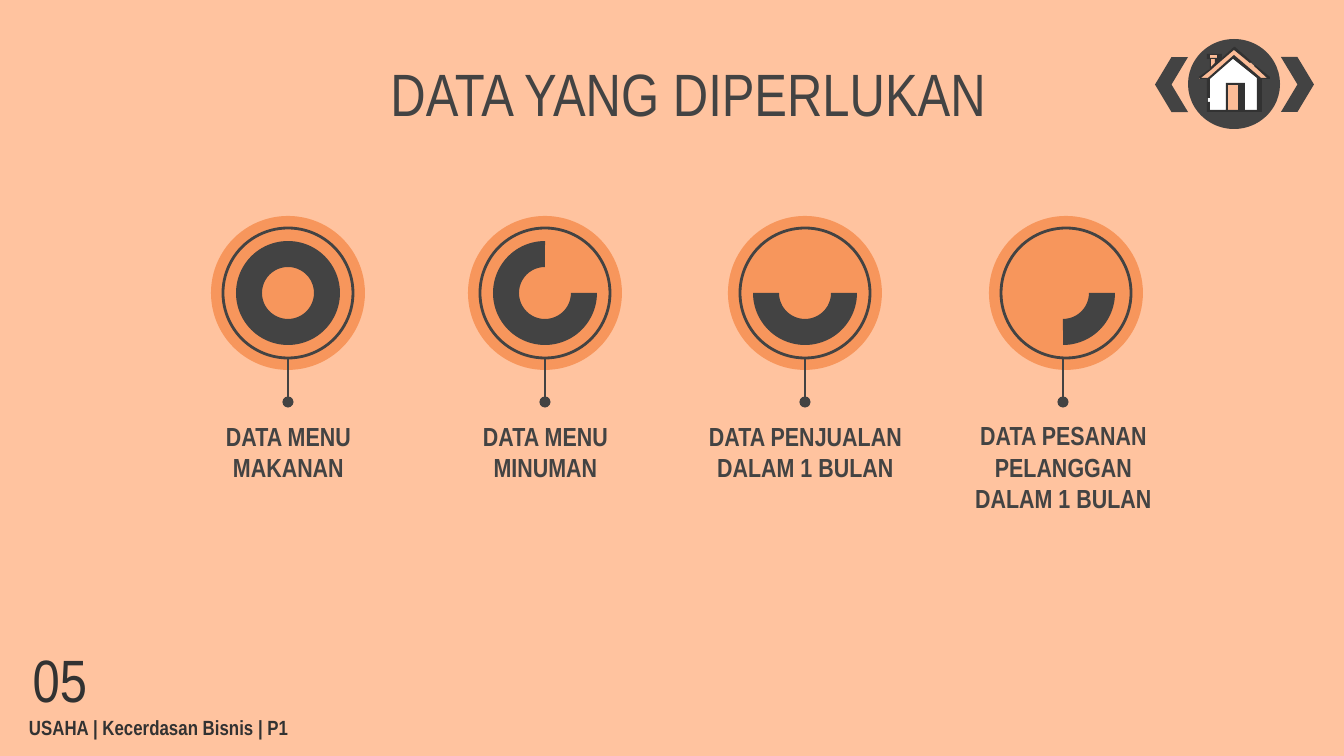
import pptx
import pptx.util
from lxml import etree
from pptx.dml.color import RGBColor
from pptx.enum.shapes import MSO_CONNECTOR, MSO_SHAPE
from pptx.enum.text import MSO_ANCHOR, PP_ALIGN
from pptx.oxml.ns import qn

PX = 914400 / 134.4
THEME = {
    "font": "Arial Narrow",
    "bg": "FFC39F", "disc": "F7965C", "dark": "434343", "ink": "323232",
    "peach": "FCBC97", "white": "FFFFFF",
    "title": 32, "label": 14, "footer": 11, "line": 1.5,
}

# Content: label, disc centre x, arc centre x, arc sweep in degrees, label box (x, y, w)
ITEMS = [
    ("DATA MENU MAKANAN", 288, 288, 360, (175, 445, 227)),
    ("DATA MENU MINUMAN", 545, 545, 270, (442, 445, 207)),
    ("DATA PENJUALAN DALAM 1 BULAN", 805, 805, 180, (702, 445, 207)),
    ("DATA PESANAN PELANGGAN DALAM 1 BULAN", 1066, 1063, 90, (960, 476, 207)),
]
CENTRE_Y, DISC, RING, ARC = 293, 154, 130, 104
STEM_END, LABEL_H = 402, 38

# text, box, size, colour, bold, alignment, anchor
TEXTS = [
    ("DATA YANG DIPERLUKAN", (60, 69, 1257, 59), "title", "dark", False,
     PP_ALIGN.CENTER, MSO_ANCHOR.BOTTOM),
    ("USAHA | Kecerdasan Bisnis | P1", (29, 715, 571, 54), "footer", "ink", True,
     PP_ALIGN.LEFT, MSO_ANCHOR.TOP),
    ("05", (0, 637, 120, 78), "title", "ink", False, PP_ALIGN.CENTER, MSO_ANCHOR.BOTTOM),
]


def box(left, top, right, bottom):
    return [(left, top), (left, bottom), (right, bottom), (right, top)]


# House icon, back to front: colour and contours
HOUSE = [
    ("peach", [[(1211, 58), (1211, 70), (1219, 62), (1219, 58)]]),  # chimney
    ("ink", [[(1215, 58), (1215, 66), (1219, 62), (1219, 58)]]),
    ("white", [[(1234, 56), (1208, 78), (1208, 111), (1260, 111), (1260, 78)]]),  # wall
    ("ink", [[(1234, 56), (1232, 58), (1257, 78), (1257, 111), (1260, 111), (1260, 78)]]),
    ("peach", [box(1208, 54, 1222, 58)]),  # chimney cap
    ("peach", [box(1227, 84, 1243, 111)]),  # door
    ("ink", [box(1238, 84, 1243, 111)]),
    ("peach", [[(1234, 48), (1199, 79), (1208, 79), (1234, 56), (1260, 79), (1269, 79)]]),  # roof
    ("ink", [box(1217, 54, 1222, 58)]),
    ("ink", [  # outline, with holes for cap, chimney and door
        box(1210, 55, 1220, 58),
        [(1218, 59), (1218, 60), (1211, 67), (1211, 59)],
        box(1228, 85, 1242, 110),
        [(1234, 47), (1222, 58), (1222, 54), (1207, 54), (1207, 59), (1210, 59),
         (1210, 69), (1199, 77), (1200, 79), (1207, 79), (1207, 98), (1210, 98),
         (1210, 79), (1234, 58), (1259, 79), (1259, 110), (1245, 110), (1245, 83),
         (1226, 83), (1226, 110), (1210, 110), (1210, 102), (1207, 102), (1207, 112),
         (1262, 112), (1262, 79), (1270, 79), (1270, 77), (1255, 65), (1254, 66),
         (1267, 78), (1261, 78), (1234, 55), (1208, 78), (1201, 78), (1211, 70),
         (1220, 62), (1234, 50), (1250, 63), (1252, 62), (1235, 47)],
    ]),
]


def emu(*lengths):
    return [round(v * PX) for v in lengths]


def colour(name):
    return RGBColor.from_string(THEME[name])


def paint(sp, fill=None, line=None):
    sp.shadow.inherit = False
    if fill:
        sp.fill.solid()
        sp.fill.fore_color.rgb = colour(fill)
    else:
        sp.fill.background()
    if line:
        sp.line.color.rgb = colour(line)
        sp.line.width = pptx.util.Pt(THEME["line"])
    else:
        sp.line.fill.background()


def add_shape(s, kind, area, fill=None, line=None):
    sp = s.shapes.add_shape(kind, *emu(*area))
    paint(sp, fill, line)
    return sp


def add_circle(s, kind, x, size, fill=None, line=None):
    area = (x - size / 2, CENTRE_Y - size / 2, size, size)
    return add_shape(s, kind, area, fill, line)


def add_arc(s, x, sweep):
    if sweep == 360:
        add_circle(s, MSO_SHAPE.DONUT, x, ARC, "dark").adjustments[0] = 0.25
        return
    sp = add_circle(s, MSO_SHAPE.BLOCK_ARC, x, ARC, "dark")
    # Angles are stored in 60000ths of a degree, adjustments in 100000ths
    for i, value in enumerate((0, sweep * 0.6, 0.25)):
        sp.adjustments[i] = value


def add_stem(s, x):
    ends = emu(x, CENTRE_Y + RING / 2, x, STEM_END)
    c = s.shapes.add_connector(MSO_CONNECTOR.STRAIGHT, *ends)
    c.line.color.rgb = colour("dark")
    c.line.width = pptx.util.Pt(THEME["line"])
    etree.SubElement(c.line._get_or_add_ln(), qn("a:tailEnd"), type="oval")
    etree.SubElement(c._element.spPr, qn("a:effectLst"))


def add_text(s, text, area, size, ink, bold, align, anchor):
    tf = s.shapes.add_textbox(*emu(*area)).text_frame
    tf.word_wrap = True
    tf.vertical_anchor = anchor
    tf.margin_left = tf.margin_top = tf.margin_right = tf.margin_bottom = 0
    p = tf.paragraphs[0]
    p.text = text
    p.alignment = align
    p.font.name = THEME["font"]
    p.font.size = pptx.util.Pt(THEME[size])
    p.font.bold = bold
    p.font.color.rgb = colour(ink)


def add_house(s):
    group = s.shapes.add_group_shape()
    for fill, contours in HOUSE:
        builder = group.shapes.build_freeform(*contours[0][0], scale=PX)
        for i, points in enumerate(contours):
            if i:
                builder.move_to(*points[0])
            builder.add_line_segments(points[1:], close=True)
        paint(builder.convert_to_shape(), fill)


def main():
    prs = pptx.Presentation()
    prs.slide_width, prs.slide_height = emu(1344, 756)
    s = prs.slides.add_slide(prs.slide_layouts[6])
    s.background.fill.solid()
    s.background.fill.fore_color.rgb = colour("bg")

    # Four dials with their labels
    for label, x, arc_x, sweep, area in ITEMS:
        add_circle(s, MSO_SHAPE.OVAL, x, DISC, "disc")
        add_circle(s, MSO_SHAPE.OVAL, x, RING, line="dark")
        add_arc(s, arc_x, sweep)
        add_stem(s, arc_x)
        add_text(s, label, (*area, LABEL_H), "label", "dark", True,
                 PP_ALIGN.CENTER, MSO_ANCHOR.BOTTOM)

    # Title and footer
    for row in TEXTS:
        add_text(s, *row)

    # Navigation: chevrons around the home button
    add_shape(s, MSO_SHAPE.OVAL, (1188, 39, 92, 90), "dark")
    add_shape(s, MSO_SHAPE.CHEVRON, (1155, 57, 33, 55), "dark").rotation = 180
    add_house(s)
    add_shape(s, MSO_SHAPE.CHEVRON, (1281, 57, 33, 55), "dark")

    prs.save("out.pptx")


if __name__ == "__main__":
    main()
